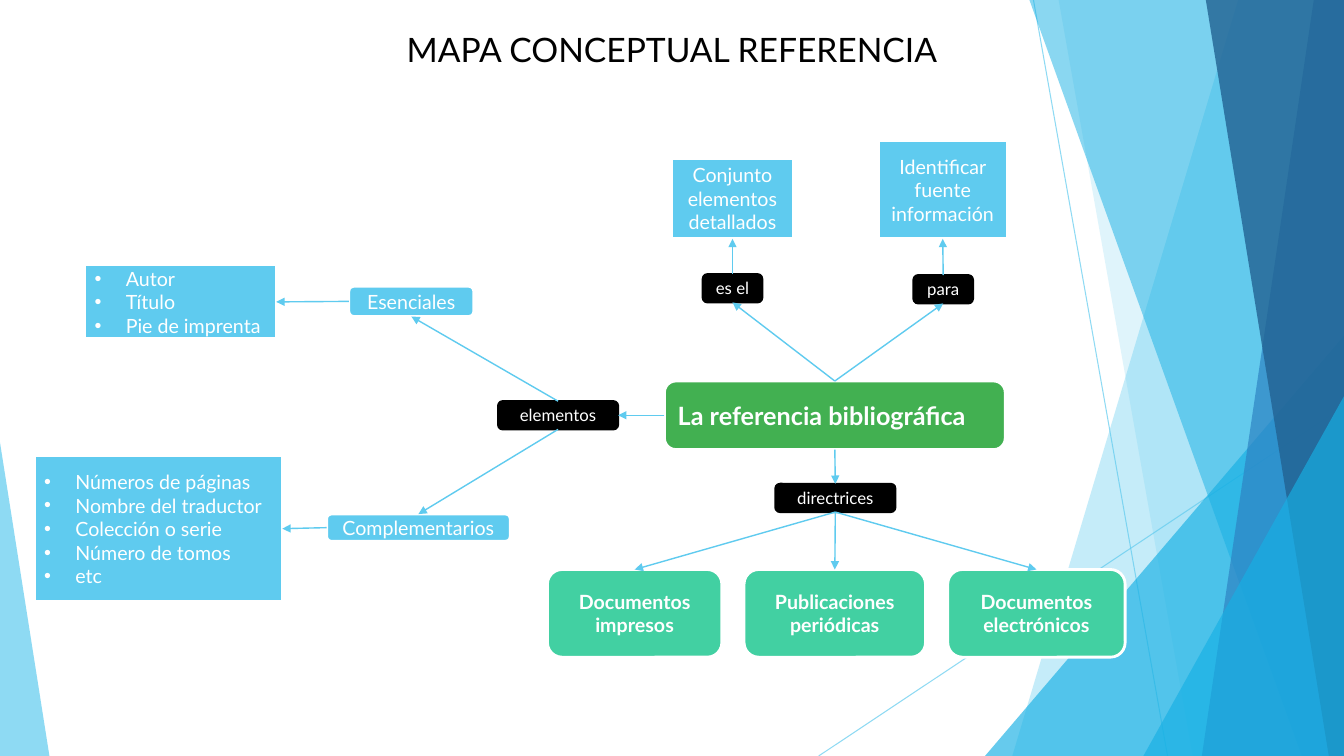
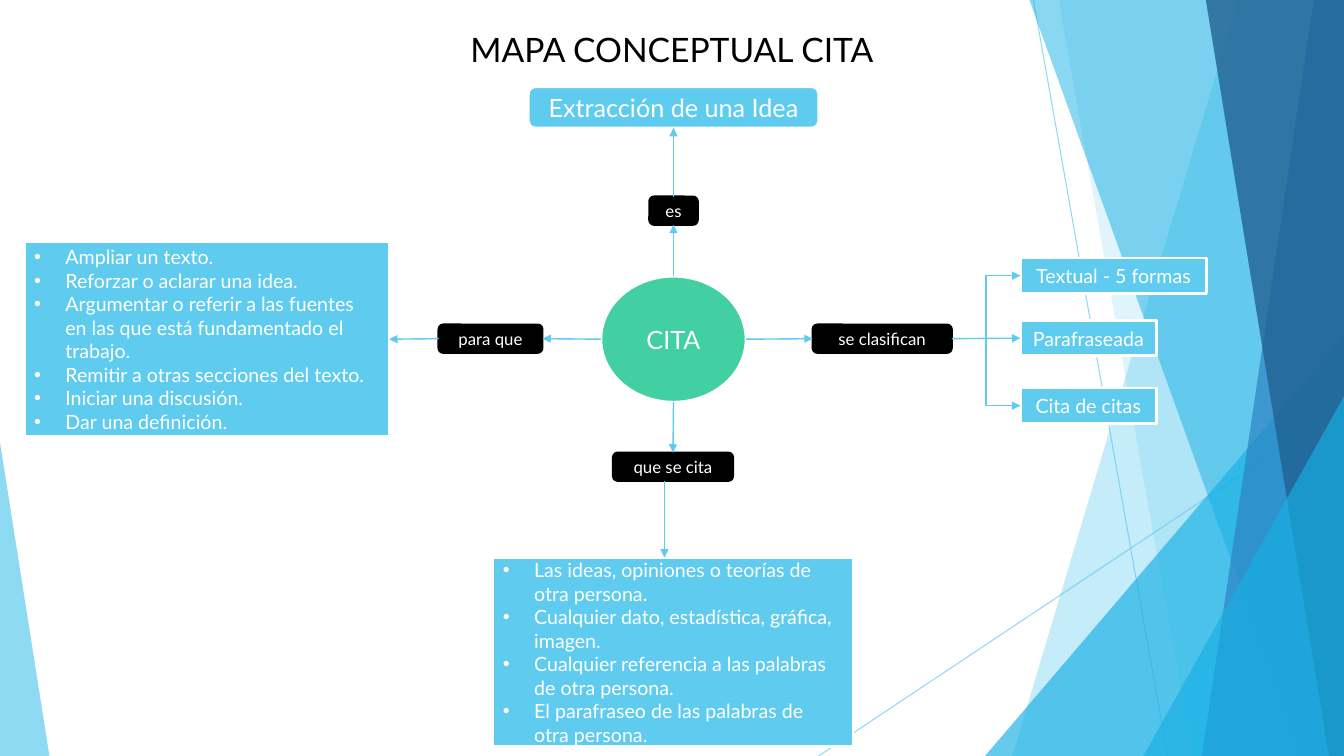
from pptx import Presentation
from pptx.dml.color import RGBColor
from pptx.enum.shapes import MSO_CONNECTOR as LINK, MSO_SHAPE as SHAPE
from pptx.enum.text import MSO_ANCHOR as ANCHOR, MSO_AUTO_SIZE as AUTO_SIZE, PP_ALIGN as ALIGN
from pptx.oxml.ns import qn
from pptx.util import Inches, Pt
from lxml import etree

# Shared look
FONT = "Lato"
WHITE = RGBColor(0xFF, 0xFF, 0xFF)
BLACK = RGBColor(0x00, 0x00, 0x00)
SKY = RGBColor(0x5F, 0xCB, 0xEF)
CYAN = RGBColor(0x17, 0xB0, 0xE4)
BLUE = RGBColor(0x2E, 0x83, 0xC3)
NAVY = RGBColor(0x22, 0x62, 0x92)
GREEN = RGBColor(0x42, 0xB0, 0x51)
MINT = RGBColor(0x42, 0xD0, 0xA2)

WIDTH, HEIGHT = 13.33, 7.5
BULLET_INDENT = 0.31
LINK_HEIGHT = 0.28

# Connection sites of a four-sided shape
TOP, LEFT, BOTTOM, RIGHT = range(4)


def write_text(frame, lines, size=14, colour=WHITE, bold=False, align=ALIGN.CENTER,
               bullet=False, anchor=ANCHOR.MIDDLE):
    """Write one paragraph per line, all in the same format."""
    frame.word_wrap = True
    frame.vertical_anchor = anchor
    for number, line in enumerate(lines):
        para = frame.paragraphs[0] if number == 0 else frame.add_paragraph()
        para.alignment = align
        span = para.add_run()
        span.text = line
        span.font.name = FONT
        span.font.size = Pt(size)
        span.font.bold = bold
        span.font.color.rgb = colour
        if bullet:
            props = para._p.get_or_add_pPr()
            props.set("marL", str(Inches(BULLET_INDENT)))
            props.set("indent", str(-Inches(BULLET_INDENT)))
            etree.SubElement(props, qn("a:buFont"), typeface="Arial")
            etree.SubElement(props, qn("a:buChar"), char="•")


def set_opacity(shape, percent):
    for colour in shape.element.spPr.iter(qn("a:srgbClr")):
        etree.SubElement(colour, qn("a:alpha"), val=str(percent * 1000))


# Background
def paint(shape, colour, opacity):
    shape.shadow.inherit = False
    shape.fill.solid()
    shape.fill.fore_color.rgb = colour
    shape.line.fill.background()
    set_opacity(shape, opacity)
    return shape


def add_band(page, top_left, bottom_left, colour, opacity):
    """Fill from a slanted left edge to the right edge of the slide."""
    outline = page.shapes.build_freeform(Inches(top_left), 0)
    outline.add_line_segments([(Inches(WIDTH), 0), (Inches(WIDTH), Inches(HEIGHT)),
                               (Inches(bottom_left), Inches(HEIGHT))])
    return paint(outline.convert_to_shape(), colour, opacity)


def add_corner(page, left, top, width, apex, colour, opacity):
    """Triangle standing on the bottom edge of the slide."""
    corner = page.shapes.add_shape(SHAPE.ISOSCELES_TRIANGLE, Inches(left), Inches(top),
                                   Inches(width), Inches(HEIGHT - top))
    corner.adjustments[0] = apex
    return paint(corner, colour, opacity)


def add_line(page, start, end, kind=LINK.STRAIGHT, width=1):
    line = page.shapes.add_connector(kind, *start, *end)
    line.line.color.rgb = SKY
    line.line.width = Pt(width)
    etree.SubElement(line.element.spPr, qn("a:effectLst"))
    return line


def add_ray(page, x1, y1, x2, y2):
    ray = add_line(page, (Inches(x1), Inches(y1)), (Inches(x2), Inches(y2)), width=0.75)
    set_opacity(ray, 70)
    return ray


def move_background_to_layout(page):
    """Draw the facets once and let every slide inherit them."""
    layout = page.slide_layout
    for holder in list(layout.placeholders):
        layout.shapes.element.remove(holder.element)
    facets = [
        add_ray(page, 10.25, 0, 11.58, HEIGHT),
        add_ray(page, WIDTH, 4.03, 8.12, HEIGHT),
        add_band(page, 12.28, 10.04, SKY, 36),
        add_band(page, 10.5, 11.83, SKY, 20),
        add_corner(page, 9.77, 3.33, 3.56, 1, CYAN, 66),
        add_band(page, 10.21, 12.91, CYAN, 50),
        add_band(page, 13.03, 11.92, BLUE, 70),
        add_band(page, 11.96, 13.18, NAVY, 80),
        add_corner(page, 11.34, 3.93, 1.99, 1, CYAN, 66),
        add_corner(page, 0, 4.39, 0.49, 0, SKY, 70),
    ]
    for facet in facets:
        layout.shapes.element.append(facet.element)


# Parts of a concept map
def add_title(page, text):
    box = page.shapes.add_textbox(0, Inches(0.24), Inches(WIDTH), Inches(0.5))
    write_text(box.text_frame, [text], size=24, colour=BLACK, anchor=ANCHOR.TOP)
    box.text_frame.auto_size = AUTO_SIZE.SHAPE_TO_FIT_TEXT


def add_node(page, left, top, width, height, *lines, form=SHAPE.RECTANGLE, fill=SKY,
             edge=WHITE, edge_width=2, **text_format):
    node = page.shapes.add_shape(form, Inches(left), Inches(top), Inches(width), Inches(height))
    node.shadow.inherit = False
    node.fill.solid()
    node.fill.fore_color.rgb = fill
    node.line.color.rgb = edge
    node.line.width = Pt(edge_width)
    write_text(node.text_frame, lines, **text_format)
    return node


def add_rounded(page, *place_and_text, **options):
    return add_node(page, *place_and_text, form=SHAPE.ROUNDED_RECTANGLE, **options)


def add_link_word(page, left, top, width, text):
    return add_rounded(page, left, top, width, LINK_HEIGHT, text, fill=BLACK, edge=BLACK,
                       edge_width=1.5, size=12)


def add_list(page, left, top, width, height, *items):
    return add_node(page, left, top, width, height, *items, bullet=True, align=ALIGN.LEFT)


def side_point(node, side):
    middle_x = node.left + node.width // 2
    middle_y = node.top + node.height // 2
    return {TOP: (middle_x, node.top), LEFT: (node.left, middle_y),
            BOTTOM: (middle_x, node.top + node.height),
            RIGHT: (node.left + node.width, middle_y)}[side]


def add_arrowhead(line):
    etree.SubElement(line.line._get_or_add_ln(), qn("a:tailEnd"), type="triangle")


def connect(page, start, start_side, end, end_side, kind=LINK.STRAIGHT):
    arrow = add_line(page, side_point(start, start_side), side_point(end, end_side), kind)
    add_arrowhead(arrow)
    # An oval numbers its sites differently, so its arrows stay free at that end
    if start.auto_shape_type != SHAPE.OVAL:
        arrow.begin_connect(start, start_side)
    arrow.end_connect(end, end_side)


# Slides
def build_reference_map(page):
    reference = add_rounded(page, 6.59, 3.78, 3.38, 0.68, "La referencia bibliográfica",
                            fill=GREEN, size=18, bold=True, align=ALIGN.LEFT)

    # Definition and purpose
    is_the = add_link_word(page, 6.97, 2.72, 0.59, "es el")
    detailed_set = add_node(page, 6.66, 1.57, 1.21, 0.8, "Conjunto elementos detallados")
    purpose = add_link_word(page, 9.06, 2.73, 0.59, "para")
    identify = add_node(page, 8.71, 1.4, 1.28, 0.97, "Identificar fuente información")
    for word, meaning in ((is_the, detailed_set), (purpose, identify)):
        connect(page, reference, TOP, word, BOTTOM)
        connect(page, word, TOP, meaning, BOTTOM)

    # Elements
    elements = add_link_word(page, 4.94, 3.98, 1.19, "elementos")
    essential = add_rounded(page, 3.46, 2.84, 1.24, 0.3, "Esenciales")
    complementary = add_rounded(page, 3.24, 5.1, 1.82, 0.27, "Complementarios")
    essential_list = add_list(page, 0.84, 2.63, 1.9, 0.73,
                              "Autor", "Título", "Pie de imprenta")
    complementary_list = add_list(page, 0.34, 4.52, 2.46, 1.45, "Números de páginas",
                                  "Nombre del traductor", "Colección o serie",
                                  "Número de tomos", "etc")
    connect(page, reference, LEFT, elements, RIGHT)
    connect(page, elements, TOP, essential, BOTTOM)
    connect(page, elements, BOTTOM, complementary, TOP)
    connect(page, essential, LEFT, essential_list, RIGHT)
    connect(page, complementary, LEFT, complementary_list, RIGHT)

    # Guidelines
    guidelines = add_link_word(page, 7.69, 4.8, 1.19, "directrices")
    connect(page, reference, BOTTOM, guidelines, TOP)
    for left, width, text in ((5.43, 1.73, "Documentos impresos"),
                              (7.38, 1.8, "Publicaciones periódicas"),
                              (9.4, 1.76, "Documentos electrónicos")):
        source = add_rounded(page, left, 5.65, width, 0.87, text, fill=MINT, bold=True)
        connect(page, guidelines, BOTTOM, source, TOP)


def build_citation_map(page):
    citation = add_node(page, 5.96, 2.74, 1.44, 1.25, "CITA", form=SHAPE.OVAL,
                        fill=MINT, size=18)

    # Definition
    is_word = add_link_word(page, 6.44, 1.95, 0.48, "es")
    idea = add_rounded(page, 5.24, 0.86, 2.88, 0.41, "Extracción de una Idea", size=18)
    connect(page, citation, TOP, is_word, BOTTOM)
    connect(page, is_word, TOP, idea, BOTTOM)

    # Purpose
    what_for = add_link_word(page, 4.35, 3.22, 1.03, "para que")
    purposes = add_list(page, 0.24, 2.4, 3.62, 1.93, "Ampliar un texto.",
                        "Reforzar o aclarar una idea.",
                        "Argumentar o referir a las fuentes en las que está "
                        "fundamentado el trabajo.",
                        "Remitir a otras secciones del texto.",
                        "Iniciar una discusión.", "Dar una definición.")
    connect(page, citation, LEFT, what_for, RIGHT)
    connect(page, what_for, LEFT, purposes, RIGHT)

    # Cited matter
    what_is_cited = add_link_word(page, 6.08, 4.49, 1.19, "que se cita")
    cited = add_list(page, 4.89, 5.53, 3.57, 1.88,
                     "Las ideas, opiniones o teorías de otra persona.",
                     "Cualquier dato, estadística, gráfica, imagen.",
                     "Cualquier referencia a las palabras de otra persona.",
                     "El parafraseo de las palabras de otra persona.")
    connect(page, citation, BOTTOM, what_is_cited, TOP)
    arrow_x = Inches(6.59)
    add_arrowhead(add_line(page, (arrow_x, what_is_cited.top + what_is_cited.height),
                           (arrow_x, cited.top)))

    # Classes
    classified = add_link_word(page, 8.06, 3.22, 1.38, "se clasifican")
    connect(page, citation, RIGHT, classified, LEFT)
    for top, width, text, kind in ((2.56, 1.85, "Textual - 5 formas", LINK.ELBOW),
                                   (3.18, 1.35, "Parafraseada", LINK.STRAIGHT),
                                   (3.85, 1.35, "Cita de citas", LINK.ELBOW)):
        form = add_node(page, 10.12, top, width, 0.35, text)
        connect(page, classified, RIGHT, form, LEFT, kind)


def main():
    deck = Presentation()
    deck.slide_width, deck.slide_height = Inches(WIDTH), Inches(HEIGHT)
    blank = deck.slide_layouts[6]
    maps = (("MAPA CONCEPTUAL REFERENCIA", build_reference_map),
            ("MAPA CONCEPTUAL CITA", build_citation_map))
    for number, (title, build_map) in enumerate(maps):
        page = deck.slides.add_slide(blank)
        if number == 0:
            move_background_to_layout(page)
        build_map(page)
        add_title(page, title)
    deck.save("out.pptx")


main()
